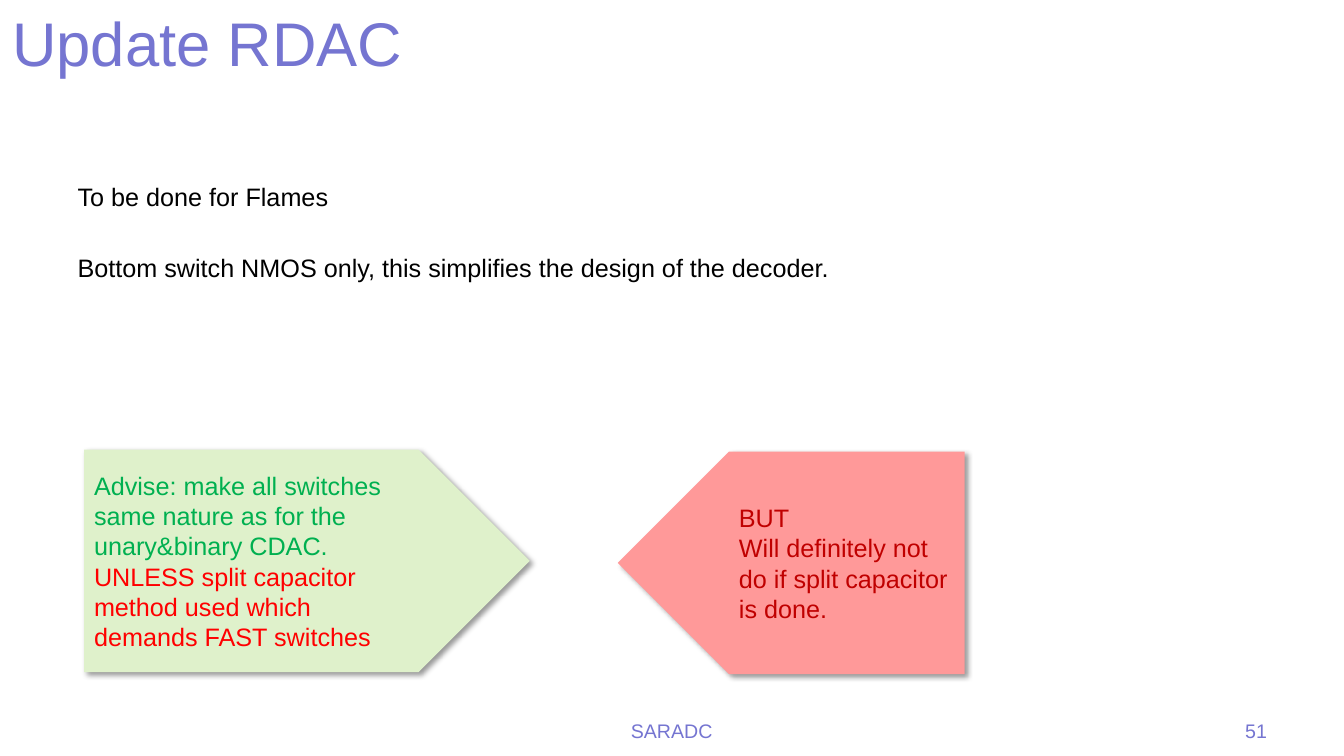
from dataclasses import dataclass

from lxml.etree import SubElement
from pptx import Presentation
from pptx.dml.color import RGBColor
from pptx.enum.shapes import MSO_SHAPE as Preset
from pptx.enum.text import MSO_ANCHOR as Anchor
from pptx.enum.text import MSO_AUTO_SIZE as AutoSize
from pptx.enum.text import PP_ALIGN as Align
from pptx.oxml.ns import qn
from pptx.util import Cm, Pt


@dataclass(frozen=True)
class Theme:
    font: str = "Arial"
    title_size: int = 44
    body_size: int = 18
    footer_size: int = 14
    accent: str = "7575D1"
    text: str = "000000"
    advice_fill: str = "DFF1CB"
    advice: str = "00B050"
    exception: str = "FF0000"
    objection_fill: str = "FF9999"
    objection: str = "C00000"
    shadow: str = "000000"


THEME = Theme()


def place(shape, left, top, width, height):
    shape.left, shape.top = Cm(left), Cm(top)
    shape.width, shape.height = Cm(width), Cm(height)


def write(paragraph, text, size, color, align=Align.LEFT):
    paragraph.text = text
    paragraph.alignment = align
    for run in paragraph.runs:
        run.font.name = THEME.font
        run.font.size = Pt(size)
        run.font.color.rgb = RGBColor.from_string(color)


def write_lines(frame, lines):
    """Write (text, colour) pairs as body-size paragraphs and return them."""
    frame.text = "\n".join(text for text, _ in lines)
    for paragraph, (text, color) in zip(frame.paragraphs, lines):
        write(paragraph, text, THEME.body_size, color)
    return frame.paragraphs


def fill_title(title, text):
    place(title, 0.05, 0, 30.48, 3.18)
    frame = title.text_frame
    frame.auto_size = AutoSize.NONE
    frame.vertical_anchor = Anchor.TOP
    write(frame.paragraphs[0], text, THEME.title_size, THEME.accent)


def fill_body(body, texts):
    place(body, 1.7, 4.45, 30.48, 12.9)
    frame = body.text_frame
    frame.auto_size = AutoSize.NONE
    paragraphs = write_lines(frame, [(text, THEME.text) for text in texts])
    for index, paragraph in enumerate(paragraphs):
        properties = paragraph._p.get_or_add_pPr()
        properties.set("marL", "0")
        properties.set("indent", "0")
        SubElement(properties, qn("a:buNone"))
        paragraph.space_before = Pt(29 if index else 0)


def add_footer(slide, text, left, width, align):
    footer = slide.shapes.add_textbox(Cm(left), Cm(17.98), Cm(width), Cm(1.07))
    footer.text_frame.word_wrap = True
    write(footer.text_frame.paragraphs[0], text, THEME.footer_size, THEME.accent, align)


def add_shadow(shape):
    shape.shadow.inherit = False
    effects = shape._element.spPr.find(qn("a:effectLst"))
    shadow = SubElement(effects, qn("a:outerShdw"), blurRad=str(Pt(4)),
                        dist=str(Pt(3)), dir="2700000", algn="tl", rotWithShape="0")
    color = SubElement(shadow, qn("a:srgbClr"), val=THEME.shadow)
    SubElement(color, qn("a:alpha"), val="40000")


def add_arrow(slide, left, top, width, fill, lines, points_left=False):
    arrow = slide.shapes.add_shape(Preset.RIGHT_ARROW, Cm(left), Cm(top), Cm(width), Cm(5.61))
    arrow.adjustments[0] = 1
    arrow.adjustments[1] = 0.5
    if points_left:
        arrow._element.spPr.xfrm.set("flipH", "1")
    arrow.fill.solid()
    arrow.fill.fore_color.rgb = RGBColor.from_string(fill)
    arrow.line.fill.background()
    add_shadow(arrow)
    arrow.text_frame.word_wrap = True
    arrow.text_frame.vertical_anchor = Anchor.MIDDLE
    write_lines(arrow.text_frame, lines)


def main():
    deck = Presentation()
    deck.slide_width, deck.slide_height = Cm(33.87), Cm(19.05)
    slide = deck.slides.add_slide(deck.slide_layouts[1])

    fill_title(slide.shapes.title, "Update RDAC")
    fill_body(slide.placeholders[1], [
        "To be done for Flames",
        "Bottom switch NMOS only, this simplifies the design of the decoder.",
    ])
    add_footer(slide, "SARADC", 10.44, 12.98, Align.CENTER)
    add_footer(slide, "51", 24.28, 7.9, Align.RIGHT)

    add_arrow(slide, 2.12, 11.33, 11.23, THEME.advice_fill, [
        ("Advise: make all switches same nature as for the unary&binary CDAC.", THEME.advice),
        ("UNLESS split capacitor method used which demands FAST switches", THEME.exception),
    ])
    add_arrow(slide, 15.57, 11.38, 8.74, THEME.objection_fill, [
        ("BUT", THEME.objection),
        ("Will definitely not do if split capacitor is done.", THEME.objection),
    ], points_left=True)

    deck.save("out.pptx")


if __name__ == "__main__":
    main()
